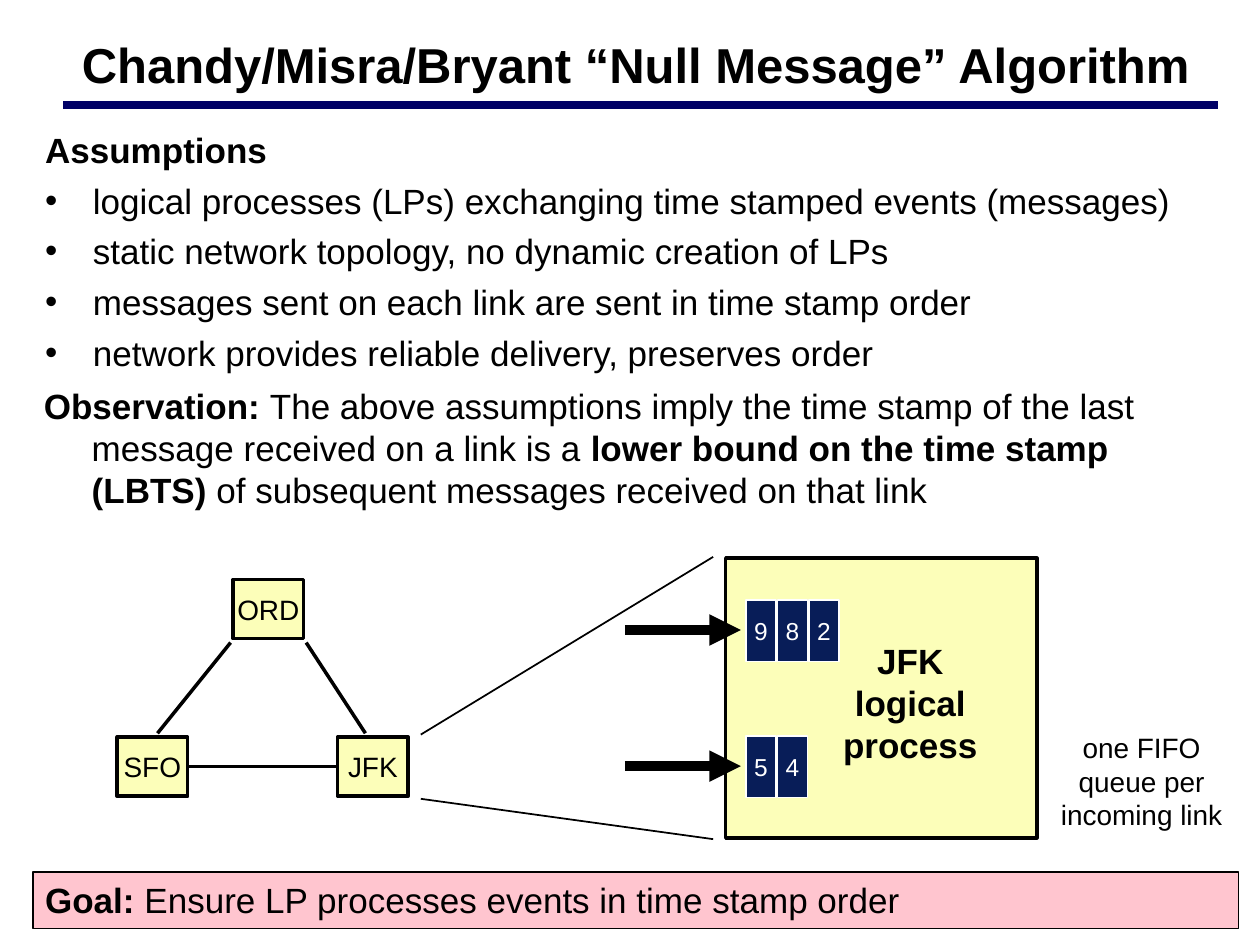
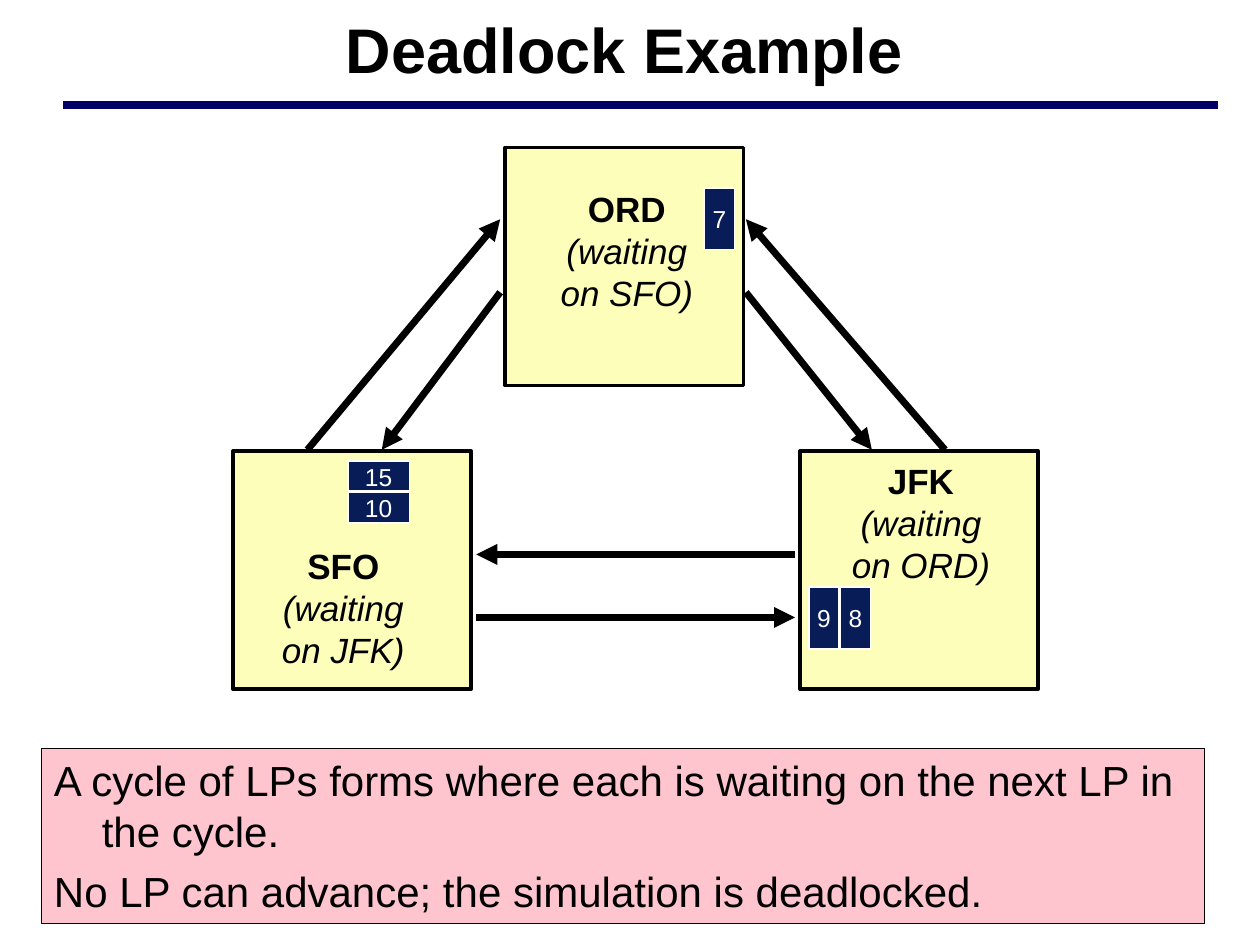
from lxml import etree
from pptx import Presentation
from pptx import util as u
from pptx.dml.color import RGBColor
from pptx.enum import shapes, text
from pptx.oxml.ns import qn

FONT = "Arial"
BLACK = RGBColor(0x00, 0x00, 0x00)
WHITE = RGBColor(0xFF, 0xFF, 0xFF)
NAVY = RGBColor(0x00, 0x00, 0x66)
QUEUE_BLUE = RGBColor(0x08, 0x1D, 0x58)
YELLOW = RGBColor(0xFC, 0xFE, 0xB9)
PINK = RGBColor(0xFF, 0xC5, 0xCF)
HANGING = 0.38


def put_text(page, place, paras=(), box=None, fill=None, line=BLACK, line_width=2,
             size=20, color=BLACK, centred=True, middle=False, wrap=False,
             hanging=0, before=0, bullets_from=None):
    """Write paragraphs, each a list of (words, style) with b for bold and i for italic."""
    left, top, width, height = [u.Inches(value) for value in place]
    if box is None and fill is None:
        box = page.shapes.add_textbox(left, top, width, height)
    elif box is None:
        box = page.shapes.add_shape(shapes.MSO_SHAPE.RECTANGLE, left, top, width, height)
        box.shadow.inherit = False
        box.fill.solid()
        box.fill.fore_color.rgb = fill
        box.line.color.rgb = line
        box.line.width = u.Pt(line_width)
    box.left, box.top, box.width, box.height = left, top, width, height

    frame = box.text_frame
    frame.auto_size = text.MSO_AUTO_SIZE.NONE
    frame.word_wrap = wrap
    frame.vertical_anchor = text.MSO_ANCHOR.MIDDLE if middle else text.MSO_ANCHOR.TOP
    for index, spans in enumerate(paras):
        para = frame.add_paragraph() if index else frame.paragraphs[0]
        properties = para._p.get_or_add_pPr()
        if hanging:
            properties.set("marL", str(u.Inches(hanging)))
            properties.set("indent", str(-u.Inches(hanging)))
        if bullets_from is not None and index >= bullets_from:
            etree.SubElement(properties, qn("a:buFont"), typeface=FONT)
            etree.SubElement(properties, qn("a:buChar"), char="•")
        para.alignment = text.PP_ALIGN.CENTER if centred else text.PP_ALIGN.LEFT
        para.space_before = u.Pt(before if index else 0)
        for words, style in spans:
            span = para.add_run()
            span.text = words
            span.font.name = FONT
            span.font.size = u.Pt(size)
            span.font.color.rgb = color
            span.font.bold = "b" in style
            span.font.italic = "i" in style
    return box


def draw_line(page, start, end, width, color=BLACK, arrow=False):
    ends = [u.Inches(value) for value in (*start, *end)]
    line = page.shapes.add_connector(shapes.MSO_CONNECTOR.STRAIGHT, *ends)
    line.line.color.rgb = color
    line.line.width = u.Pt(width)
    if arrow:
        etree.SubElement(line.line._get_or_add_ln(), qn("a:tailEnd"), type="triangle")
    etree.SubElement(line.element.spPr, qn("a:effectLst"))
    return line


deck = Presentation()
deck.slide_width, deck.slide_height = u.Inches(10), u.Inches(7.5)
title_only = deck.slide_layouts[5]

# Titles
titles = [
    ("Chandy/Misra/Bryant “Null Message” Algorithm", 28, (0.26, 0.25, 9.57, 0.51)),
    ("Deadlock Example", 36, (0.34, 0.03, 9.23, 0.7)),
]
for title, size, place in titles:
    page = deck.slides.add_slide(title_only)
    put_text(page, place, [[(title, "b")]], box=page.shapes.title, size=size,
             middle=True, wrap=True)
algorithm, deadlock = deck.slides

# The rule under the title belongs to the shared layout
title_rule = draw_line(algorithm, (0.5, 0.83), (9.67, 0.83), 4.5, NAVY)
title_only.shapes.element.append(title_rule.element)

# Algorithm: assumptions, observation and goal
assumptions = [
    [("Assumptions", "b")],
    [("logical processes (LPs) exchanging time stamped events (messages)", "")],
    [("static network topology, no dynamic creation of LPs", "")],
    [("messages sent on each link are sent in time stamp order", "")],
    [("network provides reliable delivery, preserves order", "")],
]
observation = [[
    ("Observation: ", "b"),
    ("The above assumptions imply the time stamp of the last message received "
     "on a link is a ", ""),
    ("lower bound on the time stamp (LBTS)", "b"),
    (" of subsequent messages received on that link", ""),
]]
goal = [[("Goal: ", "b"), ("Ensure LP processes events in time stamp order", "")]]
prose = dict(centred=False, wrap=True, hanging=HANGING)
put_text(algorithm, (0.26, 0.97, 9.57, 2.03), assumptions, before=5, bullets_from=1, **prose)
put_text(algorithm, (0.25, 3, 9.57, 1.11), observation, **prose)
put_text(algorithm, (0.26, 6.92, 9.57, 0.45), goal, fill=PINK, line_width=1, **prose)

# Algorithm: airport network
airports = {}
for name, left, top in [("JFK", 2.68, 5.85), ("SFO", 0.93, 5.85), ("ORD", 1.85, 4.6)]:
    airports[name] = put_text(algorithm, (left, top, 0.56, 0.47), [[(name, "")]],
                              fill=YELLOW, size=16, middle=True)
draw_line(algorithm, (2.43, 5.1), (2.9, 5.82), 2)
draw_line(algorithm, (1.83, 5.1), (1.25, 5.82), 2)
sfo_jfk = draw_line(algorithm, (1.49, 6.08), (2.68, 6.08), 2)
sfo_jfk.begin_connect(airports["SFO"], 3)
sfo_jfk.end_connect(airports["JFK"], 1)

# Algorithm: enlarged view of the JFK process
put_text(algorithm, (5.76, 4.43, 2.47, 2.22), fill=YELLOW)
put_text(algorithm, (6.59, 5.03, 1.27, 1.1),
         [[(word, "b")] for word in ("JFK", "logical", "process")])
put_text(algorithm, (8.32, 5.75, 1.48, 0.9),
         [[(words, "")] for words in ("one FIFO", "queue per", "incoming link")], size=16)
for link_y in (5, 6.08):
    draw_line(algorithm, (4.96, link_y), (5.88, link_y), 6, arrow=True)
draw_line(algorithm, (3.34, 5.83), (5.66, 4.42), 1)
draw_line(algorithm, (3.34, 6.34), (5.66, 6.66), 1)

# Deadlock: waiting processes, with the place of each label
processes = [
    ("JFK", "ORD", 6.35, 3.58, (6.66, 3.6, 1.3, 1.1)),
    ("ORD", "SFO", 4.01, 1.17, (4.35, 1.44, 1.25, 1.1)),
    ("SFO", "JFK", 1.85, 3.58, (2.14, 4.27, 1.17, 1.1)),
]
for name, awaited, left, top, label_place in processes:
    put_text(deadlock, (left, top, 1.89, 1.89), fill=YELLOW)
    put_text(deadlock, label_place,
             [[(name, "b")], [("(waiting", "i")], [(f"on {awaited})", "i")]])

# Deadlock: links in both directions
links = [
    ((2.44, 3.57), (3.97, 1.74)),
    ((3.97, 2.32), (3.03, 3.57)),
    ((7.5, 3.57), (5.92, 1.74)),
    ((5.92, 2.32), (6.92, 3.57)),
    ((3.78, 4.9), (6.31, 4.9)),
    ((6.31, 4.4), (3.78, 4.4)),
]
for start, end in links:
    draw_line(deadlock, start, end, 4, arrow=True)

# Deadlock: conclusion
conclusion = [
    [("A cycle of LPs forms where each is waiting on the next LP in the cycle.", "")],
    [("No LP can advance; the simulation is deadlocked.", "")],
]
put_text(deadlock, (0.33, 5.94, 9.23, 1.39), conclusion, fill=PINK, line_width=1,
         size=24, before=6, **prose)

# Message queues on both slides; a stacked queue has flat cells
LONG, SHORT, STEP = 0.49, 0.24, 0.25
queues = [
    (algorithm, 5.92, 4.76, False, (9, 8, 2)),
    (algorithm, 5.92, 5.84, False, (5, 4)),
    (deadlock, 6.42, 4.66, False, (9, 8)),
    (deadlock, 5.59, 1.49, False, (7,)),
    (deadlock, 2.76, 3.66, True, (15, 10)),
]
for page, left, top, stacked, stamps in queues:
    for index, stamp in enumerate(stamps):
        if stacked:
            place = (left, top + index * STEP, LONG, SHORT)
        else:
            place = (left + index * STEP, top, SHORT, LONG)
        put_text(page, place, [[(str(stamp), "")]], fill=QUEUE_BLUE, line=WHITE,
                 line_width=1, size=14, color=WHITE, middle=True)

deck.save("out.pptx")
